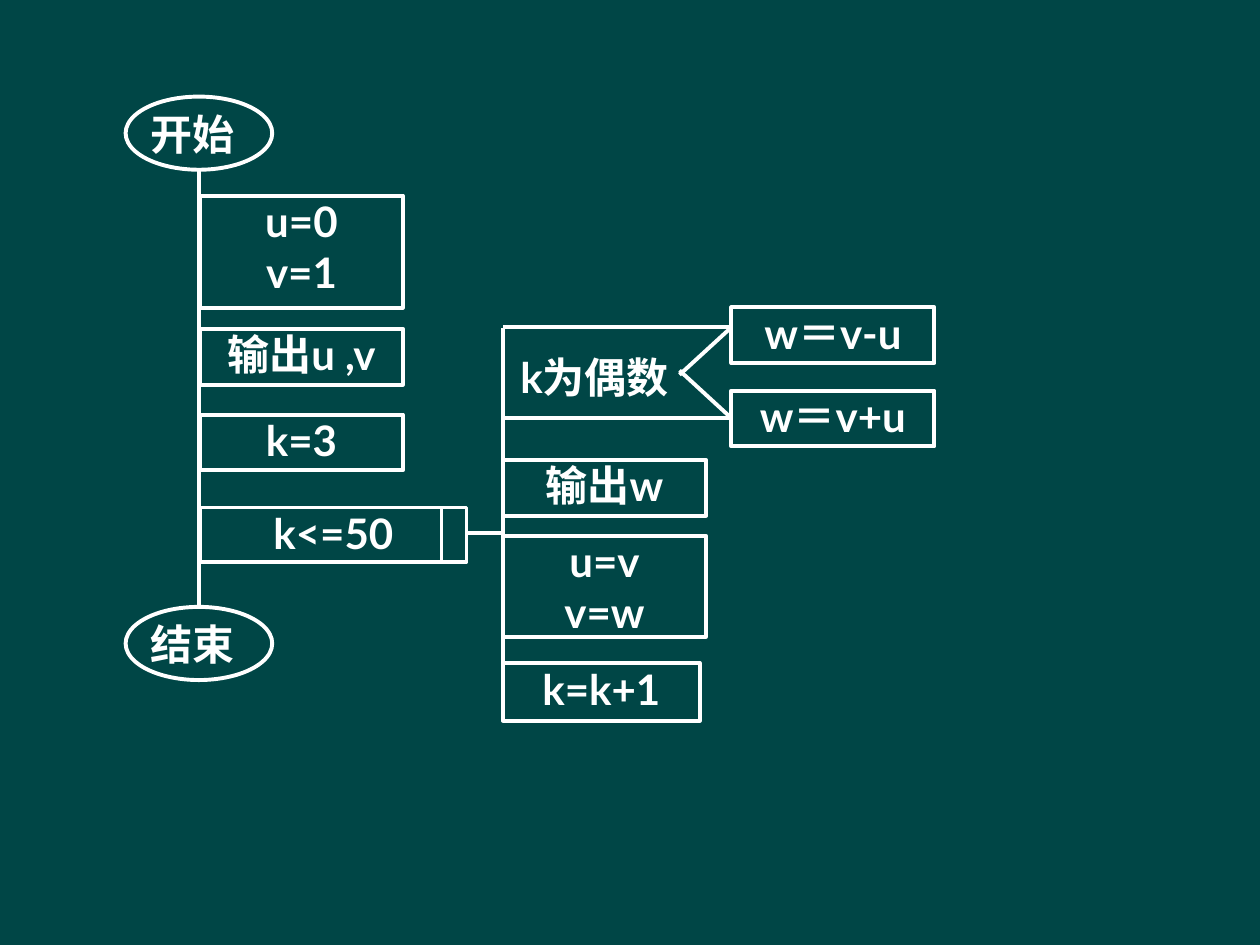
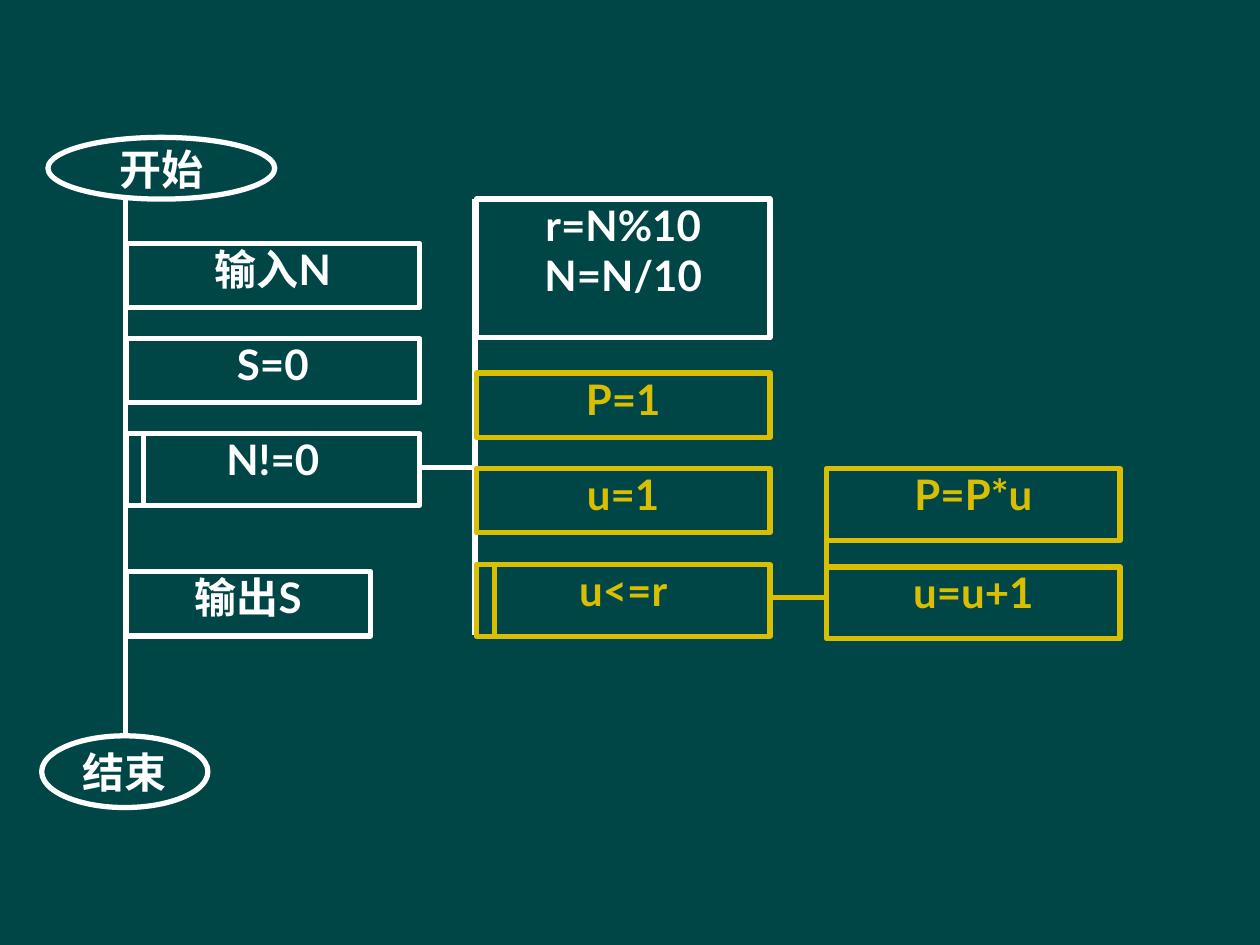
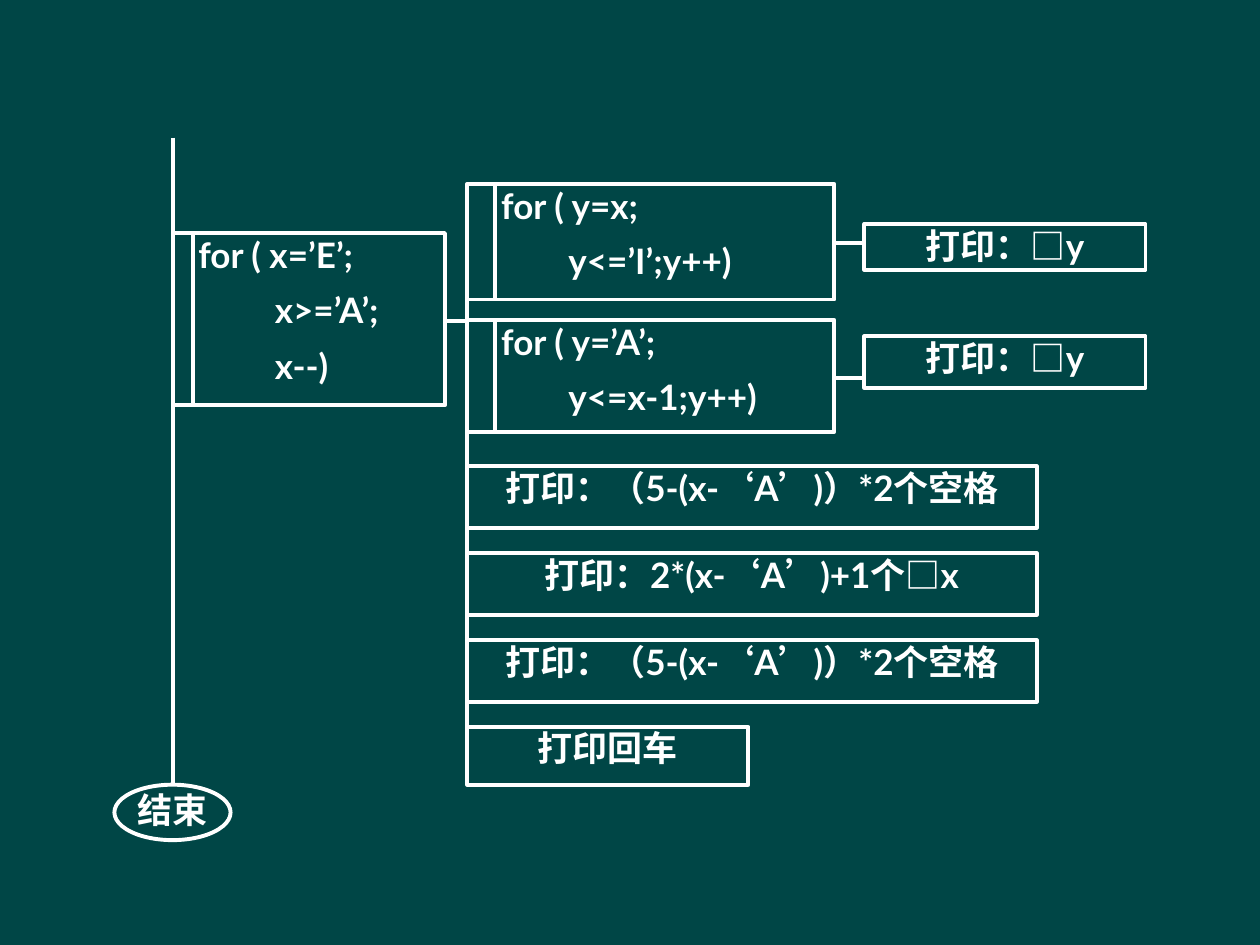
from collections import namedtuple

from lxml import etree
from pptx import Presentation
from pptx.dml.color import RGBColor
from pptx.enum import shapes, text
from pptx.oxml import ns
from pptx.util import Pt

Pen = namedtuple("Pen", "color width size")

FONT = "Lato"
BACKGROUND = "004646"
WHITE = "FFFFFF"
GOLD = "D9BE02"
CENTER = text.PP_ALIGN.CENTER
JUSTIFY = text.PP_ALIGN.JUSTIFY
RECT = shapes.MSO_SHAPE.RECTANGLE
OVAL = shapes.MSO_SHAPE.OVAL


def paint(fmt, color):
    fmt.solid()
    fmt.fore_color.rgb = RGBColor.from_string(color)


def write(sp, pen, lines, align=CENTER, gap=0, wrap=True, anchor=text.MSO_ANCHOR.TOP):
    tf = sp.text_frame
    tf.word_wrap = wrap
    tf.vertical_anchor = anchor
    tf.margin_left = tf.margin_right = tf.margin_top = tf.margin_bottom = 0
    tf.text = "\n".join(lines)
    for i, p in enumerate(tf.paragraphs):
        p.alignment = align
        if i and gap:
            p.space_before = Pt(gap)
        p.font.name = FONT
        p.font.size = Pt(pen.size)
        p.font.bold = True
        paint(p.font.fill, pen.color)


def outline(s, pen, kind, x, y, w, h):
    sp = s.shapes.add_shape(kind, Pt(x), Pt(y), Pt(w), Pt(h))
    sp.shadow.inherit = False
    sp.fill.background()
    paint(sp.line.fill, pen.color)
    sp.line.width = Pt(pen.width)
    return sp


def box(s, pen, x, y, w, h, *lines, **style):
    write(outline(s, pen, RECT, x, y, w, h), pen, lines, **style)


def oval(s, pen, x, y, w, h, caption):
    sp = outline(s, pen, OVAL, x, y, w, h)
    write(sp, pen, [caption], wrap=False, anchor=text.MSO_ANCHOR.MIDDLE)


def label(s, pen, x, y, w, h, caption, align=CENTER):
    sp = s.shapes.add_textbox(Pt(x), Pt(y), Pt(w), Pt(h))
    write(sp, pen, [caption], align)


def line(s, pen, x1, y1, x2, y2):
    c = s.shapes.add_connector(shapes.MSO_CONNECTOR.STRAIGHT, Pt(x1), Pt(y1), Pt(x2), Pt(y2))
    paint(c.line.fill, pen.color)
    c.line.width = Pt(pen.width)
    etree.SubElement(c._element.spPr, ns.qn("a:effectLst"))


def loop(s, pen, x, y, w, h, bar, link_y, link_end, *lines, **style):
    box(s, pen, x, y, w, h, *lines, **style)
    line(s, pen, x + bar, y, x + bar, y + h)
    line(s, pen, x + w, link_y, link_end, link_y)


def sequence_slide(s):
    pen = Pen(WHITE, 2.25, 24)
    main_x, body_x, branch_x = 114.3, 287.5, 418
    w, h = 116, 31.9

    line(s, pen, 113.8, 96.5, 113.8, 347.5)
    for y, caption in ((55.2, "开始"), (346.8, "结束")):
        label(s, pen, 72.8, y + 6.5, 74, 29, caption)
        oval_y = y
        outline(s, pen, OVAL, 71.8, oval_y, 83.8, 41.8)

    box(s, pen, main_x, 111.8, w, 64, "u=0", "v=1")
    box(s, pen, main_x, 187.9, w, h, "输出u ,v")
    box(s, pen, main_x, 236.9, w, h, "k=3")
    loop(s, pen, main_x, 290, 152.3, 31, 138, 304.6, body_x, "k<=50")

    line(s, pen, body_x, 187.5, body_x, 411.8)
    label(s, pen, 280.8, 200.9, 118, 29.5, "k为偶数")
    for y, tip in ((187, 214.2), (239, 211.7)):
        line(s, pen, body_x, y, branch_x, y)
        line(s, pen, branch_x, y, 388.3, tip)
    box(s, pen, branch_x, 175.7, w, h, "w＝v-u")
    box(s, pen, branch_x, 223.2, w, h, "w＝v+u")
    box(s, pen, body_x, 262.8, w, h, "输出w")
    box(s, pen, body_x, 306.2, w, 57.6, "u=v", "v=w")
    box(s, pen, body_x, 378.9, 112.3, 33, "k=k+1")


def digits_slide(s):
    pen, accent = Pen(WHITE, 3, 24), Pen(GOLD, 3, 24)
    main_x, body_x, inner_x = 72, 272.2, 472.3
    w, h, tall = 167.8, 36.7, 41

    line(s, pen, 71.6, 113.8, 71.6, 420.5)
    oval(s, pen, 27.4, 78.5, 129.6, 35.3, "开始")
    oval(s, pen, 23.8, 420.5, 95, 41, "结束")
    box(s, pen, main_x, 139, w, h, "输入N")
    box(s, pen, main_x, 193.5, w, h, "S=0")
    loop(s, pen, main_x, 247.8, w, tall, 10.2, 267.1, body_x, "N!=0")
    box(s, pen, main_x, 326.7, 139.7, h, "输出S")

    line(s, pen, 271.5, 113.8, 271.5, 363)
    box(s, pen, body_x, 113.8, w, 79.2, "r=N%10", "N=N/10")
    box(s, accent, body_x, 213.2, w, h, "P=1")
    box(s, accent, body_x, 267.6, w, h, "u=1")
    loop(s, accent, body_x, 322.6, w, tall, 10.2, 341.4, inner_x, "u<=r")

    line(s, accent, inner_x, 267.8, inner_x, 363.6)
    box(s, accent, inner_x, 267.8, w, tall, "P=P*u")
    box(s, accent, inner_x, 324, w, tall, "u=u+1")


def pattern_slide(s):
    pen = Pen(WHITE, 2.25, 20)
    code = {"align": JUSTIFY, "gap": 7.7}
    main_x, body_x, print_x = 98.8, 267, 493.9

    line(s, pen, main_x, 78.6, main_x, 448.6)
    label(s, pen, 78.5, 450.7, 54, 29.5, "结束", JUSTIFY)
    outline(s, pen, OVAL, 65.4, 448.4, 66.4, 31.7)
    loop(s, pen, main_x, 133.2, 155.5, 98.4, 11.5, 183.2, body_x,
         "   for ( x=’E’;", "            x>=’A’;", "            x--)", **code)

    line(s, pen, body_x, 116.6, body_x, 448.6)
    loop(s, pen, body_x, 105.2, 209.8, 66, 15.8, 138.8, print_x,
         "    for ( y=x;", "            y<=’I’;y++)", **code)
    loop(s, pen, body_x, 182.9, 209.8, 64, 15.8, 215.8, print_x,
         "    for ( y=’A’;", "            y<=x-1;y++)", **code)
    for y, h in ((128, 26.1), (192.2, 29.5)):
        box(s, pen, print_x, y, 160.7, h, "打印：□y")

    spaces = "打印：（5-(x-‘A’)）*2个空格"
    for i, caption in enumerate((spaces, "打印：2*(x-‘A’)+1个□x", spaces)):
        box(s, pen, body_x, 266.4 + i * 49.7, 325.4, 35.3, caption)
    box(s, pen, body_x, 415.4, 160.7, 33, "打印回车")


def main():
    prs = Presentation()
    prs.slide_width, prs.slide_height = Pt(720), Pt(540)
    paint(prs.slide_master.background.fill, BACKGROUND)
    for build in (sequence_slide, digits_slide, pattern_slide):
        build(prs.slides.add_slide(prs.slide_layouts[6]))
    prs.save("out.pptx")


if __name__ == "__main__":
    main()
